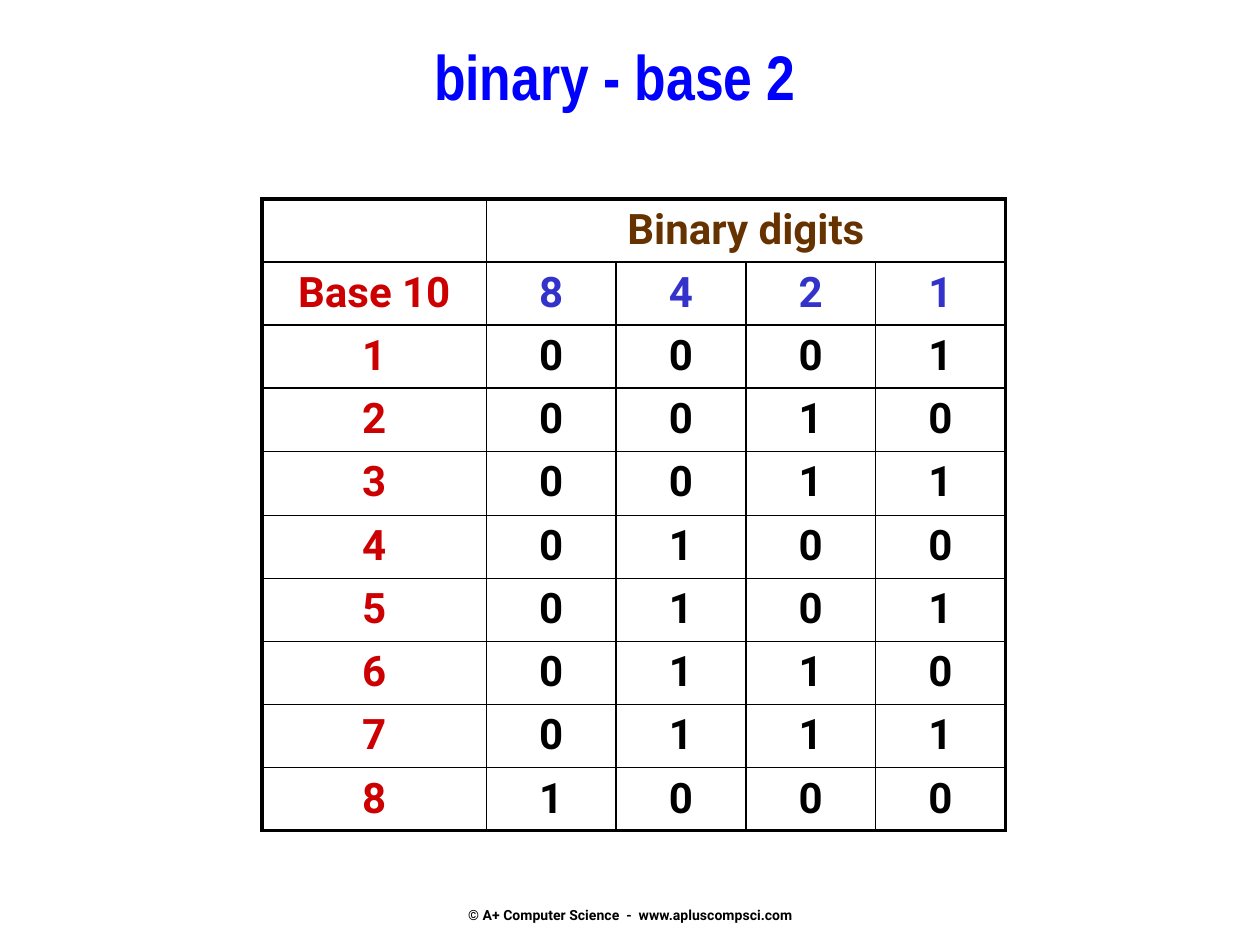
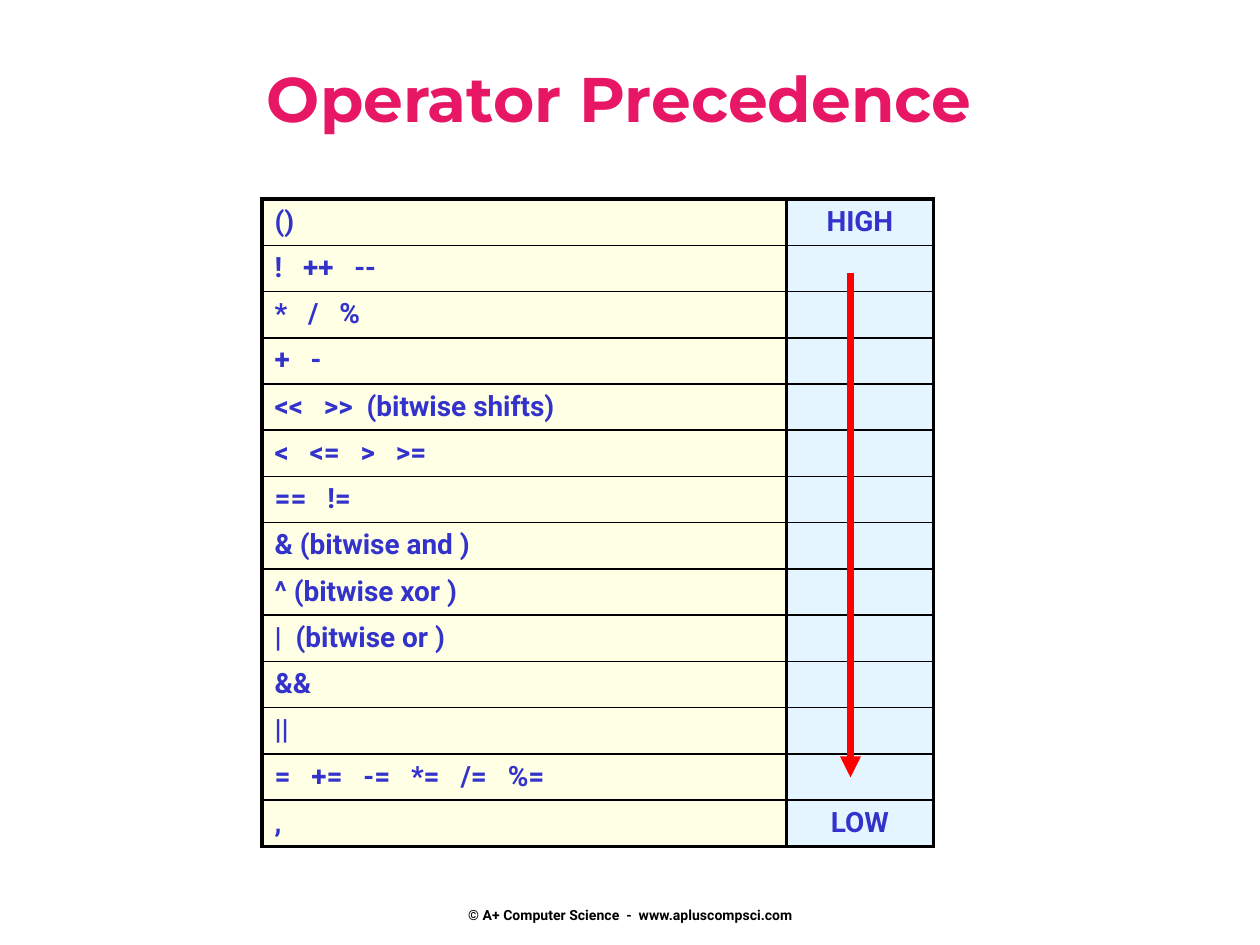
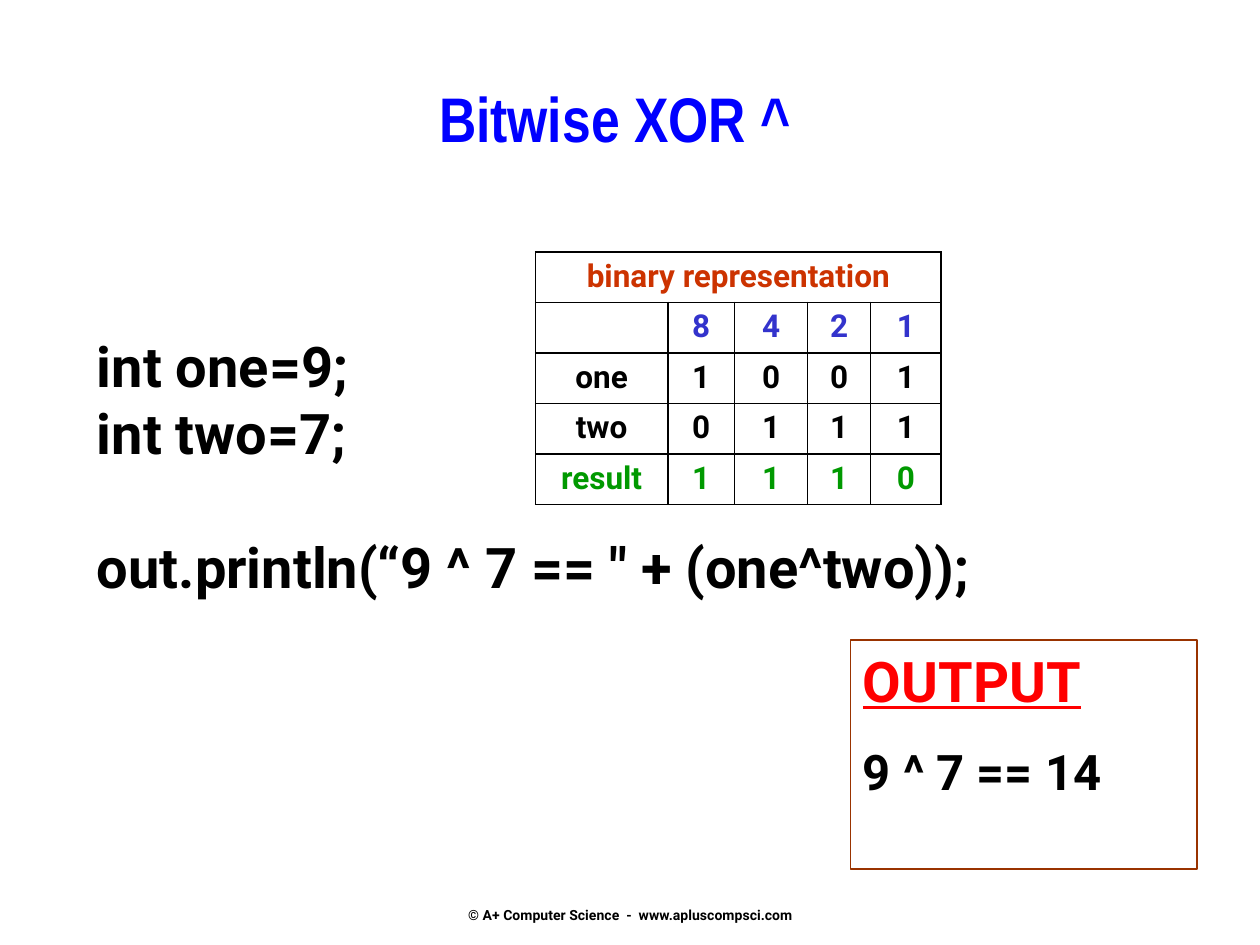
from lxml.etree import SubElement
from pptx import Presentation
from pptx.dml.color import RGBColor
from pptx.enum.shapes import MSO_CONNECTOR, MSO_SHAPE
from pptx.enum.text import MSO_ANCHOR, PP_ALIGN
from pptx.oxml import parse_xml
from pptx.oxml.ns import nsdecls, qn
from pptx.util import Inches, Pt

BLACK = RGBColor(0x00, 0x00, 0x00)
TITLE_BLUE = RGBColor(0x00, 0x00, 0xFF)
TITLE_PINK = RGBColor(0xE8, 0x17, 0x66)
BROWN = RGBColor(0x66, 0x33, 0x00)
CRIMSON = RGBColor(0xCC, 0x00, 0x00)
INDIGO = RGBColor(0x33, 0x33, 0xCC)
RUST = RGBColor(0xCC, 0x33, 0x00)
FRAME_BROWN = RGBColor(0x99, 0x33, 0x00)
GREEN = RGBColor(0x00, 0x99, 0x00)
RED = RGBColor(0xFF, 0x00, 0x00)
CREAM = RGBColor(0xFF, 0xFF, 0xCC)
SKY = RGBColor(0xCC, 0xEC, 0xFF)

BODY_FONT = "Roboto"
NARROW_FONT = "Arial Narrow"
DISPLAY_FONT = "Montserrat"
THIN, THICK = Pt(1), Pt(2.25)
PLACES = ["8", "4", "2", "1"]
OPERATORS = [
    "()", "!   ++   --", "*   /   %", "+   -", "<<   >>  (bitwise shifts)",
    "<   <=   >   >=", "==   !=", "& (bitwise and )", "^ (bitwise xor )",
    "|  (bitwise or )", "&&", "||", "=   +=   -=   *=   /=   %=", ",",
]


def add_span(para, text, size, color, font=BODY_FONT, underline=False):
    span = para.add_run()
    span.text = text
    span.font.name = font
    span.font.size = Pt(size)
    span.font.bold = True
    span.font.underline = underline
    span.font.color.rgb = color


def add_text(page, box, lines, size, color, font=BODY_FONT, align=PP_ALIGN.LEFT):
    frame = page.shapes.add_textbox(*map(Inches, box)).text_frame
    frame.word_wrap = True
    for index, line in enumerate(lines):
        para = frame.paragraphs[0] if index == 0 else frame.add_paragraph()
        para.alignment = align
        add_span(para, line, size, color, font)
    return frame


def add_title(page, box, text, color=TITLE_BLUE, font=NARROW_FONT):
    add_text(page, box, [text], 36, color, font, PP_ALIGN.CENTER)


def add_page(deck):
    page = deck.slides.add_slide(deck.slide_layouts[6])
    footer = add_text(page, (3.42, 6.83, 3.17, 0.5),
                      ["© A+ Computer Science  -  www.apluscompsci.com"],
                      8, BLACK, align=PP_ALIGN.CENTER)
    footer.vertical_anchor = MSO_ANCHOR.BOTTOM
    footer.margin_bottom = 0
    return page


def set_borders(cell, widths):
    properties = cell._tc.get_or_add_tcPr()
    for index, (side, width) in enumerate(zip("LRTB", widths)):
        properties.insert(index, parse_xml(
            f'<a:ln{side} {nsdecls("a")} w="{width}"><a:solidFill>'
            f'<a:srgbClr val="{BLACK}"/></a:solidFill></a:ln{side}>'))


def set_fill(cell, color):
    if color is None:
        cell.fill.background()
        return
    cell.fill.solid()
    cell.fill.fore_color.rgb = color
    tone = cell._tc.tcPr.find(qn("a:solidFill"))[0]
    SubElement(tone, qn("a:alpha"), val="50000")


def add_grid(page, corner, columns, heights, rows, size, edge=THIN,
             divider=THIN, fills=None, aligns=None, merge=None):
    frame = page.shapes.add_table(len(rows), len(columns), *map(
        Inches, (*corner, sum(columns), sum(heights))))
    grid = frame.table
    grid.first_row = grid.horz_banding = False
    for column, width in zip(grid.columns, columns):
        column.width = Inches(width)
    for row, height in zip(grid.rows, heights):
        row.height = Inches(height)
    if merge:
        grid.cell(0, merge[0]).merge(grid.cell(0, merge[1]))
    last_row, last_column = len(rows) - 1, len(columns) - 1
    for r, row in enumerate(rows):
        for c, (text, color) in enumerate(row):
            cell = grid.cell(r, c)
            if cell.is_spanned:
                continue
            right = c + cell.span_width - 1 if cell.is_merge_origin else c
            set_fill(cell, fills[c] if fills else None)
            set_borders(cell, (edge if c == 0 else divider,
                               edge if right == last_column else divider,
                               edge if r == 0 else THIN,
                               edge if r == last_row else THIN))
            if text:
                para = cell.text_frame.paragraphs[0]
                para.alignment = aligns[c] if aligns else PP_ALIGN.CENTER
                add_span(para, text, size, color)
            else:
                cell.margin_top = cell.margin_bottom = 0


def colored(texts, color):
    return [(text, color) for text in texts]


def bits(number):
    return format(number, "04b")


def build_binary_page(deck):
    page = add_page(deck)
    add_title(page, (0.67, 0.25, 8.42, 0.75), "binary - base 2")
    rows = [colored(["", "Binary digits", "", "", ""], BROWN),
            [("Base 10", CRIMSON)] + colored(PLACES, INDIGO)]
    rows += [[(str(number), CRIMSON)] + colored(bits(number), BLACK)
             for number in range(1, 9)]
    heights = [0.49] * 4 + [0.51] + [0.49] * 5
    add_grid(page, (2.08, 1.58), [1.78] + [1.03] * 4, heights, rows, 24,
             edge=THICK, merge=(1, 4))


def add_arrow(page, start, end):
    arrow = page.shapes.add_connector(
        MSO_CONNECTOR.STRAIGHT, *map(Inches, (*start, *end)))
    arrow.line.color.rgb = RED
    arrow.line.width = Pt(4)
    SubElement(arrow.line._get_or_add_ln(), qn("a:tailEnd"), type="triangle")
    SubElement(arrow._element.spPr, qn("a:effectLst"))


def build_precedence_page(deck):
    page = add_page(deck)
    add_title(page, (0.83, 0.42, 8.17, 0.92), "Operator Precedence",
              TITLE_PINK, DISPLAY_FONT)
    ranks = ["HIGH"] + [""] * (len(OPERATORS) - 2) + ["LOW"]
    rows = [colored(pair, INDIGO) for pair in zip(OPERATORS, ranks)]
    heights = [5.13 / len(rows)] * len(rows)
    add_grid(page, (2.08, 1.58), [4.16, 1.17], heights, rows, 16,
             edge=THICK, divider=THICK, fills=[CREAM, SKY],
             aligns=[PP_ALIGN.LEFT, PP_ALIGN.CENTER])
    add_arrow(page, (6.75, 2.17), (6.75, 6.17))


def add_output(page, box, result):
    panel = page.shapes.add_shape(MSO_SHAPE.RECTANGLE, *map(Inches, box))
    panel.shadow.inherit = False
    panel.fill.background()
    panel.line.color.rgb = FRAME_BROWN
    panel.line.width = THIN
    frame = panel.text_frame
    frame.word_wrap = True
    frame.vertical_anchor = MSO_ANCHOR.TOP
    heading, answer = frame.paragraphs[0], frame.add_paragraph()
    heading.alignment = answer.alignment = PP_ALIGN.LEFT
    add_span(heading, "OUTPUT", 32, RED, underline=True)
    answer.space_before = Pt(16)
    add_span(answer, result, 28, BLACK)


def build_xor_page(deck):
    page = add_page(deck)
    one, two = 9, 7
    code = add_text(page, (0.67, 2.58, 8.91, 2.79),
                    [f"int one={one};", f"int two={two};",
                     f'out.println(“{one} ^ {two} == " + (one^two));'],
                    32, BLACK)
    code.paragraphs[2].space_before = Pt(38)
    add_output(page, (6.75, 5.08, 2.75, 1.82), f"{one} ^ {two} == {one ^ two}")
    add_title(page, (0.92, 0.58, 7.92, 1), "Bitwise XOR ^")
    rows = [colored(["binary representation", "", "", "", ""], RUST),
            colored(["", *PLACES], INDIGO),
            colored(["one", *bits(one)], BLACK),
            colored(["two", *bits(two)], BLACK),
            colored(["result", *bits(one ^ two)], GREEN)]
    add_grid(page, (4.25, 2), [1.05, 0.53, 0.58, 0.5, 0.56], [0.4] * 5,
             rows, 18, merge=(0, 4))


def main():
    deck = Presentation()
    deck.slide_width, deck.slide_height = Inches(10), Inches(7.5)
    build_binary_page(deck)
    build_precedence_page(deck)
    build_xor_page(deck)
    deck.save("out.pptx")


if __name__ == "__main__":
    main()
